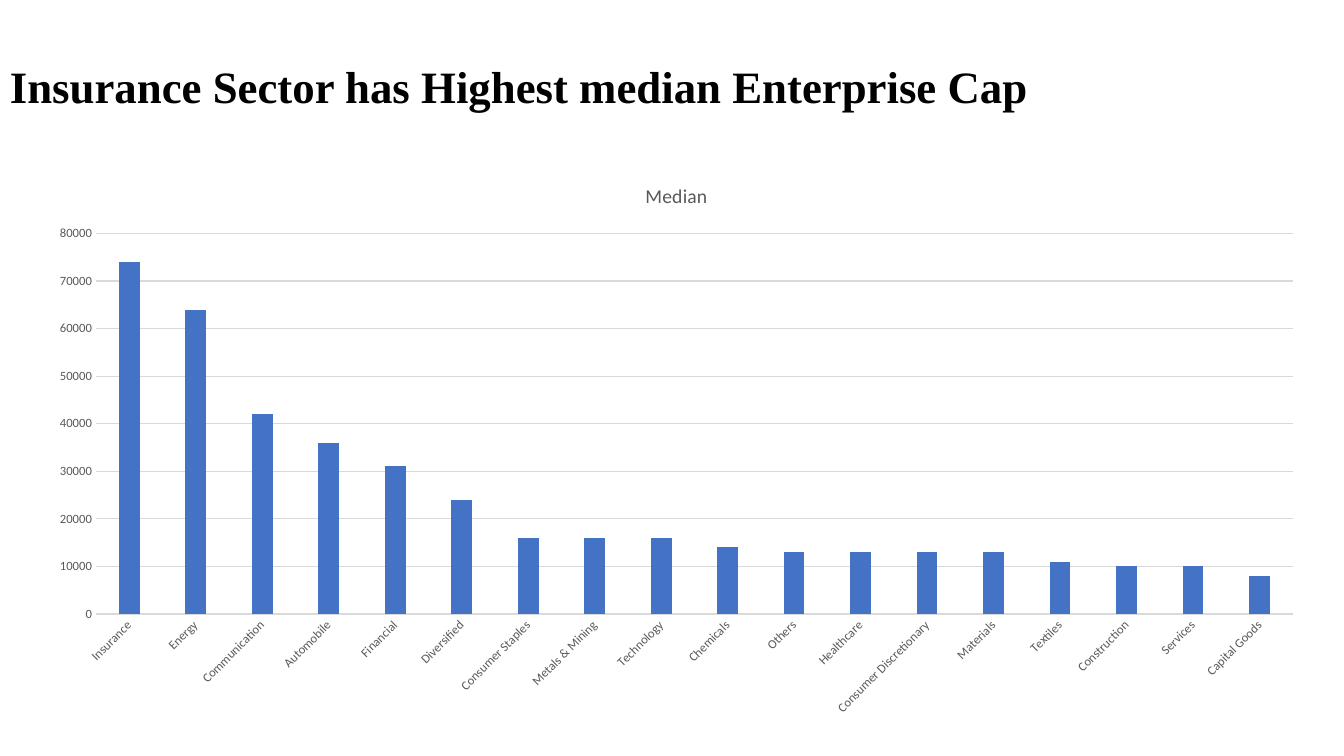
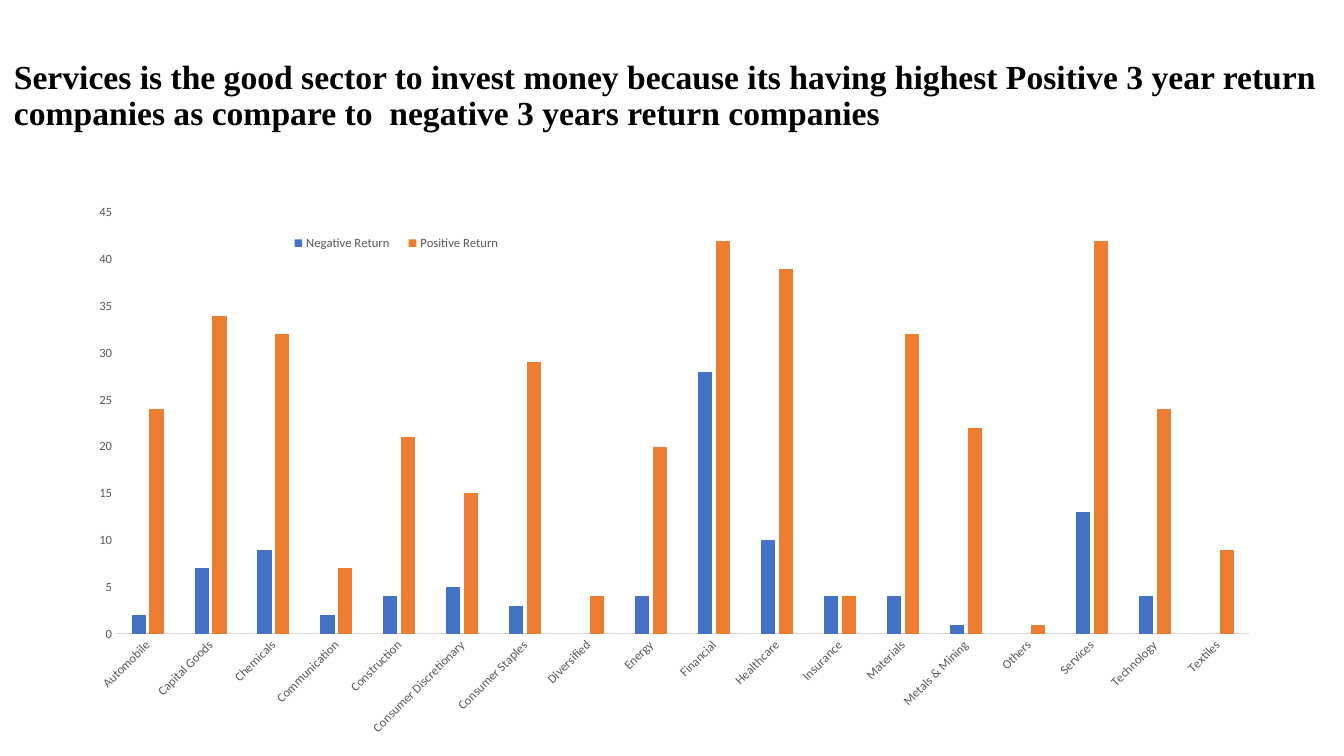
"""Builds two slides that compare business sectors with column charts."""
from lxml.etree import SubElement
from pptx import Presentation
from pptx.chart.data import CategoryChartData
from pptx.dml.color import RGBColor
from pptx.enum.chart import XL_CHART_TYPE as ChartType
from pptx.enum.chart import XL_LEGEND_POSITION as LegendPosition
from pptx.enum.chart import XL_TICK_MARK as TickMark
from pptx.enum.text import MSO_ANCHOR as Anchor
from pptx.oxml.ns import qn
from pptx.util import Inches, Pt

WIDTH, HEIGHT = Inches(13.33), Inches(7.5)
COLUMNS, ROWS = 40, 30
TITLE_FONT, CHART_FONT = "Times New Roman", "Calibri"
COLORS = {
    "title": "000000",
    "label": "595959",
    "rule": "D9D9D9",
    "series": ["4472C4", "ED7D31"],
}

MEDIAN_CAP = {
    "Insurance": 74000, "Energy": 64000, "Communication": 42000,
    "Automobile": 36000, "Financial": 31000, "Diversified": 24000,
    "Consumer Staples": 16000, "Metals & Mining": 16000, "Technology": 16000,
    "Chemicals": 14000, "Others": 13000, "Healthcare": 13000,
    "Consumer Discretionary": 13000, "Materials": 13000, "Textiles": 11000,
    "Construction": 10000, "Services": 10000, "Capital Goods": 8000,
}
RETURNS = {
    "Automobile": (2, 24), "Capital Goods": (7, 34), "Chemicals": (9, 32),
    "Communication": (2, 7), "Construction": (4, 21),
    "Consumer Discretionary": (5, 15), "Consumer Staples": (3, 29),
    "Diversified": (None, 4), "Energy": (4, 20), "Financial": (28, 42),
    "Healthcare": (10, 39), "Insurance": (4, 4), "Materials": (4, 32),
    "Metals & Mining": (1, 22), "Others": (None, 1), "Services": (13, 42),
    "Technology": (4, 24), "Textiles": (None, 9),
}


def place(left, top, width, height):
    """Turn grid columns and rows into slide lengths."""
    column, row = WIDTH / COLUMNS, HEIGHT / ROWS
    return [round(n) for n in (left * column, top * row, width * column, height * row)]


def style_font(font, name, size, color, bold=False):
    """Set the face, size, colour and weight of a font."""
    font.name, font.size, font.bold = name, Pt(size), bold
    font.color.rgb = RGBColor.from_string(color)


def style_line(line):
    """Draw a line as a thin pale rule."""
    line.width = Pt(0.75)
    line.color.rgb = RGBColor.from_string(COLORS["rule"])


def add_title(page, text, size, area):
    """Add a bold headline, centred vertically in its area."""
    frame = page.shapes.add_textbox(*place(*area)).text_frame
    frame.word_wrap = True
    frame.vertical_anchor = Anchor.MIDDLE
    frame.text = text
    para = frame.paragraphs[0]
    para.line_spacing = 0.9
    style_font(para.runs[0].font, TITLE_FONT, size, COLORS["title"], True)


def style_axes(chart, gridlines):
    """Style both axes, with slanted category labels."""
    for axis in (chart.category_axis, chart.value_axis):
        axis.major_tick_mark = axis.minor_tick_mark = TickMark.NONE
        style_font(axis.tick_labels.font, CHART_FONT, 9, COLORS["label"])
    style_line(chart.category_axis.format.line)
    labels = chart.category_axis._element.find(qn("c:txPr"))
    labels.find(qn("a:bodyPr")).set("rot", "-2700000")
    chart.value_axis.format.line.fill.background()
    chart.value_axis.has_major_gridlines = gridlines
    if gridlines:
        style_line(chart.value_axis.major_gridlines.format.line)


def add_columns(page, area, categories, series, gridlines=False):
    """Add a clustered column chart and return it."""
    data = CategoryChartData()
    data.categories = categories
    for name, values in series.items():
        data.add_series(name, values)
    chart = page.shapes.add_chart(ChartType.COLUMN_CLUSTERED, *place(*area), data).chart
    style_font(chart.font, CHART_FONT, 10, COLORS["title"])
    chart.has_title = chart.has_legend = False
    plot = chart.plots[0]
    plot.gap_width, plot.overlap, plot.vary_by_categories = 219, -27, False
    for bars, color in zip(plot.series, COLORS["series"]):
        bars.format.fill.solid()
        bars.format.fill.fore_color.rgb = RGBColor.from_string(color)
    style_axes(chart, gridlines)
    return chart


def add_chart_title(chart, text):
    """Add a heading above the plot."""
    chart.has_title = True
    frame = chart.chart_title.text_frame
    frame.text = text
    style_font(frame.paragraphs[0].runs[0].font, CHART_FONT, 14, COLORS["label"])


def add_legend(chart):
    """Add a legend that leaves the plot its full width."""
    chart.has_legend = True
    chart.legend.position = LegendPosition.RIGHT
    chart.legend.include_in_layout = False
    style_font(chart.legend.font, CHART_FONT, 9, COLORS["label"])


def set_layout(element, shares, inner=False):
    """Fix a chart part at shares of the chart's size."""
    layout = element.get_or_add_layout() if hasattr(element, "get_or_add_layout") else element.find(qn("c:layout"))
    if layout is None:
        layout = SubElement(element, qn("c:layout"))
        element.insert(1 if element.find(qn("c:legendPos")) is not None else 0, layout)
    for child in list(layout):
        layout.remove(child)
    manual = SubElement(layout, qn("c:manualLayout"))
    settings = [("layoutTarget", "inner")] if inner else []
    settings += [("xMode", "edge"), ("yMode", "edge")]
    settings += zip("xywh", shares)
    for tag, value in settings:
        SubElement(manual, qn(f"c:{tag}")).set("val", str(value))


def add_median_slide(deck):
    """Show the median enterprise cap of each sector."""
    page = deck.slides.add_slide(deck.slide_layouts[6])
    add_title(page, "Insurance Sector has Highest median Enterprise Cap", 32, (0, 0.64, 40, 5.8))
    chart = add_columns(page, (1.02, 6.44, 38.22, 22.4), list(MEDIAN_CAP),
                        {"Median": list(MEDIAN_CAP.values())}, gridlines=True)
    add_chart_title(chart, "Median")


def add_returns_slide(deck):
    """Compare negative and positive returns in each sector."""
    page = deck.slides.add_slide(deck.slide_layouts[6])
    add_title(page, "Services is the good sector to invest money because its having highest "
              "Positive 3 year return companies as compare to  negative 3 years return companies",
              24, (0.12, 1.52, 40, 4.64))
    names = ("Negative Return", "Positive Return")
    chart = add_columns(page, (2.76, 8, 34.77, 22), list(RETURNS),
                        dict(zip(names, zip(*RETURNS.values()))))
    add_legend(chart)
    set_layout(chart.legend._element, (0.16, 0.05, 0.2, 0.05))
    set_layout(chart._chartSpace.chart.plotArea, (0.02, 0.02, 0.97, 0.76), inner=True)


def main():
    """Build and save the deck."""
    deck = Presentation()
    deck.slide_width, deck.slide_height = WIDTH, HEIGHT
    add_median_slide(deck)
    add_returns_slide(deck)
    deck.save("out.pptx")


if __name__ == "__main__":
    main()
